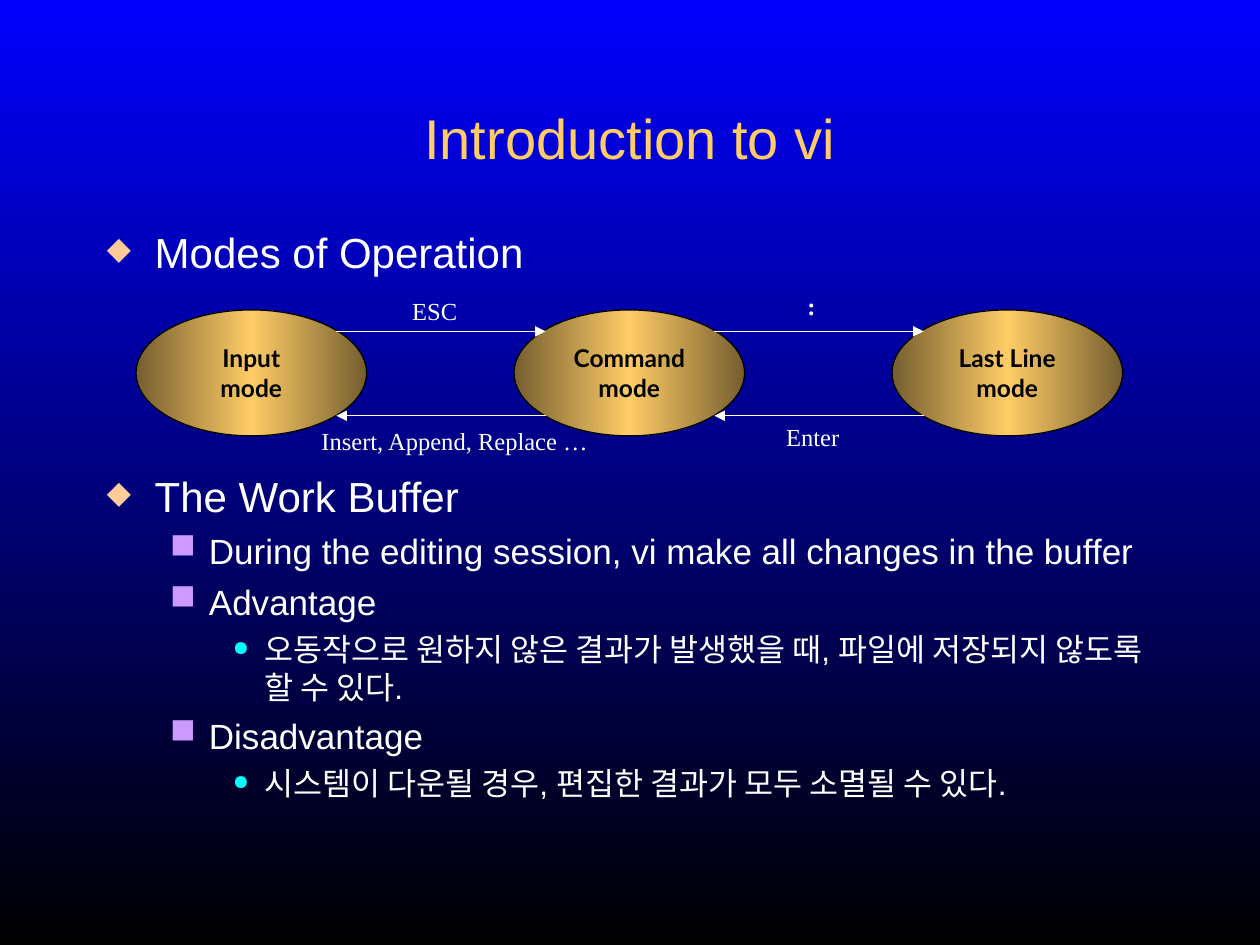
import copy

import pptx
import pptx.dml.color
import pptx.enum.shapes
import pptx.enum.text
import pptx.oxml
import pptx.oxml.ns
import pptx.util

Inches = pptx.util.Inches
Pt = pptx.util.Pt
ALIGN = pptx.enum.text.PP_ALIGN
ANCHOR = pptx.enum.text.MSO_ANCHOR

WHITE, BLACK = "FFFFFF", "000000"
GOLD, BRONZE = "FFCC66", "755E2F"
SERIF = "Times New Roman"

# Per level: indent, hang, space before, text size, mark, mark colour, mark percent
LEVELS = [
    (0.38, 0.38, 6, 24, "◆", "FFCC99", 75),
    (0.81, 0.31, 5, 20, "■", "CC99FF", 100),
    (1.25, 0.25, 4.5, 18, "●", "00FFFF", 65),
]
POINTS = [
    (0, "Modes of Operation"),
    (0, "The Work Buffer"),
    (1, "During the editing session, vi make all changes in the buffer"),
    (1, "Advantage"),
    (2, "오동작으로 원하지 않은 결과가 발생했을 때, 파일에 저장되지 않도록 할 수 있다."),
    (1, "Disadvantage"),
    (2, "시스템이 다운될 경우, 편집한 결과가 모두 소멸될 수 있다."),
]
DIAGRAM_GAP = 110.5

MODES = ["Input", "Command", "Last Line"]
MODE_LEFT, MODE_TOP, MODE_STEP = 1.08, 2.46, 3
MODE_WIDE, MODE_HIGH = 1.83, 1
LINK_LEFT, LINK_WIDE = 2.67, 1.66
LINK_TOP, LINK_LOW = 2.63, 3.3

# Text, centre, top, width, bold
LABELS = [
    ("ESC", 3.45, 2.3, 0.56, False),
    ("Insert, Append, Replace …", 3.61, 3.33, 2.6, False),
    ("Enter", 6.45, 3.3, 0.62, False),
    (":", 6.44, 2.26, 0.26, True),
]


def color(code):
    return pptx.dml.color.RGBColor.from_string(code)


def add_xml(parent, tag, **attrs):
    node = pptx.oxml.parse_xml(f"<a:{tag} {pptx.oxml.ns.nsdecls('a')}/>")
    for name, value in attrs.items():
        node.set(name, str(value))
    parent.append(node)
    return node


def add_run(para, text, size, face, code, bold=False):
    run = para.add_run()
    run.text = text
    run.font.size = Pt(size)
    run.font.name = face
    run.font.bold = bold
    run.font.color.rgb = color(code)


def blend(fill, first, last, angle):
    fill.gradient()
    fill.gradient_angle = angle
    for stop, code in zip(fill.gradient_stops, (first, last)):
        stop.color.rgb = color(code)


def add_title(slide):
    title = slide.shapes.title
    title.left, title.top = Inches(0.75), Inches(0.67)
    title.width, title.height = Inches(8.5), Inches(0.83)
    title.text_frame.vertical_anchor = ANCHOR.MIDDLE
    para = title.text_frame.paragraphs[0]
    para.alignment = ALIGN.CENTER
    add_run(para, "Introduction to vi", 32, "Arial", GOLD)


def set_mark(para, indent, hang, mark, code, percent):
    """Give the paragraph its bullet and hanging indent."""
    props = para._p.get_or_add_pPr()
    props.set("marL", str(Inches(indent)))
    props.set("indent", str(-Inches(hang)))
    add_xml(add_xml(props, "buClr"), "srgbClr", val=code)
    add_xml(props, "buSzPct", val=percent * 1000)
    add_xml(props, "buChar", char=mark)


def add_points(slide):
    box = slide.shapes.add_textbox(Inches(0.75), Inches(1.75), Inches(8.5), Inches(4.92))
    frame = box.text_frame
    frame.word_wrap = True
    for num, (level, text) in enumerate(POINTS):
        indent, hang, space, size, mark, code, percent = LEVELS[level]
        para = frame.add_paragraph() if num else frame.paragraphs[0]
        para.level = level
        set_mark(para, indent, hang, mark, code, percent)
        if num:
            para.space_before = Pt(DIAGRAM_GAP if level == 0 else space)
        add_run(para, text, size, "Arial", WHITE)


def add_mode(slide, name, left):
    oval = slide.shapes.add_shape(
        pptx.enum.shapes.MSO_SHAPE.OVAL,
        Inches(left), Inches(MODE_TOP), Inches(MODE_WIDE), Inches(MODE_HIGH))
    oval.shadow.inherit = False
    blend(oval.fill, BRONZE, BRONZE, 0)
    stops = oval._element.spPr.find(".//" + pptx.oxml.ns.qn("a:gsLst"))
    stops.insert(1, copy.deepcopy(stops[0]))
    middle = oval.fill.gradient_stops[1]
    middle.position = 0.5
    middle.color.rgb = color(GOLD)
    oval.line.color.rgb = color(BLACK)
    oval.line.width = Pt(0.75)
    frame = oval.text_frame
    frame.word_wrap = False
    frame.vertical_anchor = ANCHOR.MIDDLE
    for num, text in enumerate((name, "mode")):
        para = frame.add_paragraph() if num else frame.paragraphs[0]
        para.alignment = ALIGN.CENTER
        add_run(para, text, 14, "Lato", BLACK, True)


def add_arrow(slide, start, end, top):
    arrow = slide.shapes.add_connector(
        pptx.enum.shapes.MSO_CONNECTOR.STRAIGHT,
        Inches(start), Inches(top), Inches(end), Inches(top))
    arrow.line.color.rgb = color(WHITE)
    arrow.line.width = Pt(0.75)
    add_xml(arrow.line._get_or_add_ln(), "tailEnd", type="triangle")
    add_xml(arrow._element.spPr, "effectLst")


def add_label(slide, text, centre, top, width, bold):
    box = slide.shapes.add_textbox(
        Inches(centre - width / 2), Inches(top), Inches(width), Inches(0.34))
    box.text_frame.word_wrap = False
    para = box.text_frame.paragraphs[0]
    para.alignment = ALIGN.CENTER
    add_run(para, text, 14, SERIF, WHITE, bold)


def main():
    deck = pptx.Presentation()
    deck.slide_width, deck.slide_height = Inches(10), Inches(7.5)
    slide = deck.slides.add_slide(deck.slide_layouts[5])
    blend(slide.background.fill, "0000FF", BLACK, 270)
    add_title(slide)
    add_points(slide)
    for num, name in enumerate(MODES):
        add_mode(slide, name, MODE_LEFT + num * MODE_STEP)
    for num in range(len(MODES) - 1):
        left = LINK_LEFT + num * MODE_STEP
        add_arrow(slide, left, left + LINK_WIDE, LINK_TOP)
        add_arrow(slide, left + LINK_WIDE, left, LINK_LOW)
    for label in LABELS:
        add_label(slide, *label)
    deck.save("out.pptx")


if __name__ == "__main__":
    main()
